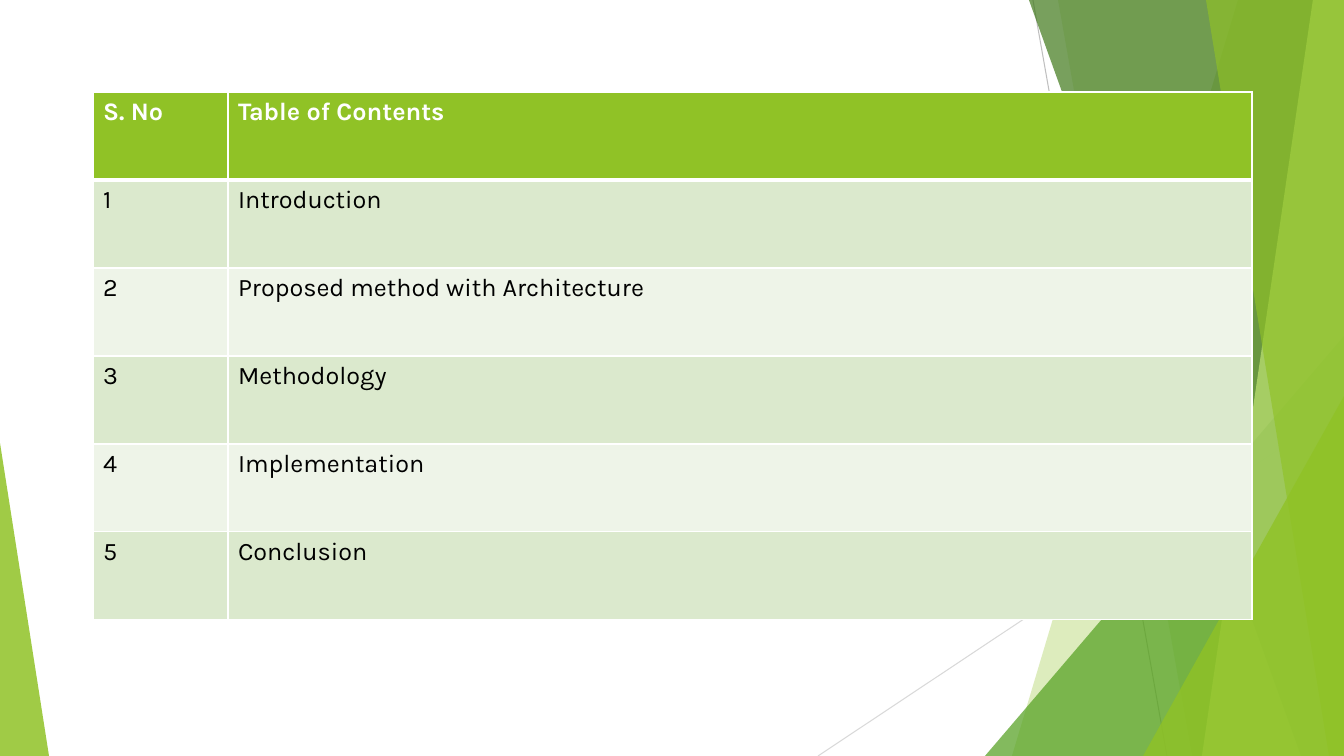
"""Build the table of contents slide with its layered green side bands."""
from dataclasses import dataclass

from lxml.etree import SubElement as Sub
from pptx import Presentation
from pptx.dml.color import RGBColor as RGB
from pptx.enum.shapes import MSO_CONNECTOR as CONN, MSO_SHAPE as SHAPE
from pptx.oxml import parse_xml
from pptx.oxml.ns import nsdecls, qn
from pptx.util import Pt

PX = 914400 / 100.8
WIDTH, HEIGHT = 1344, 756


@dataclass(frozen=True)
class Theme:
    font: str = "Karla"
    size: int = 18
    green: str = "90C226"
    leaf: str = "54A021"
    forest: str = "3F7819"
    lime: str = "C0E474"
    white: str = "FFFFFF"
    black: str = "000000"
    stripes: tuple = ("DBE9CD", "EEF4E8")
    line: float = 0.75
    border: int = 1
    header_border: int = 3


T = Theme()

HEADER = ("S. No", "Table of Contents")
TOPICS = ["Introduction", "Proposed method with Architecture", "Methodology",
          "Implementation", "Conclusion"]
TABLE_LEFT, TABLE_TOP, ROW_HEIGHT = 93, 92, 88
COLUMNS = (135, 1024)

RULES = [((1033, 0), (1167, HEIGHT), "BFBFBF"),
         ((WIDTH, 406), (818, HEIGHT), "D9D9D9")]
DECOR = [
    ("band", (1238, 1012), T.green, 30),
    ("band", (1058, 1192), T.green, 20),
    ("triangle", (985, 336, WIDTH, 1), T.leaf, 72),
    ("band", (1029, 1301), T.forest, 70),
    ("band", (1313, 1202), T.lime, 70),
    ("band", (1206, 1329), T.green, 65),
    ("triangle", (1143, 396, WIDTH, 1), T.green, 80),
    ("triangle", (0, 443, 49, 0), T.green, 85),
]


def px(n):
    return round(n * PX)


def add_rule(start, end, color):
    line = s.shapes.add_connector(CONN.STRAIGHT, *map(px, start + end))
    line.line.color.rgb = RGB.from_string(color)
    line.line.width = Pt(T.line)
    Sub(line._element.spPr, qn("a:effectLst"))


def add_band(top_x, bottom_x):
    builder = s.shapes.build_freeform(top_x, 0, scale=PX)
    builder.add_line_segments([(WIDTH, 0), (WIDTH, HEIGHT), (bottom_x, HEIGHT)])
    return builder.convert_to_shape()


def add_triangle(left, top, right, apex):
    sp = s.shapes.add_shape(SHAPE.ISOSCELES_TRIANGLE, px(left), px(top),
                            px(right - left), px(HEIGHT - top))
    sp.adjustments[0] = apex
    return sp


def paint(sp, color, alpha):
    sp.shadow.inherit = False
    sp.line.fill.background()
    sp.fill.solid()
    sp.fill.fore_color.rgb = RGB.from_string(color)
    clr = sp._element.spPr.find(qn("a:solidFill"))[0]
    Sub(clr, qn("a:alpha"), val=str(alpha * 1000))


def style_cell(cell, row):
    header = row == 0
    fill = T.green if header else T.stripes[(row - 1) % 2]
    cell.fill.solid()
    cell.fill.fore_color.rgb = RGB.from_string(fill)
    font = cell.text_frame.paragraphs[0].runs[0].font
    font.name, font.size, font.bold = T.font, Pt(T.size), header
    font.color.rgb = RGB.from_string(T.white if header else T.black)
    thick = {"T": row == 1, "B": header}
    for i, side in enumerate("LRTB"):
        width = Pt(T.header_border if thick.get(side) else T.border)
        cell._tc.get_or_add_tcPr().insert(i, parse_xml(
            f'<a:ln{side} {nsdecls("a")} w="{width}"><a:solidFill>'
            f'<a:srgbClr val="{T.white}"/></a:solidFill></a:ln{side}>'))


prs = Presentation()
prs.slide_width, prs.slide_height = px(WIDTH), px(HEIGHT)
s = prs.slides.add_slide(prs.slide_layouts[6])

for rule in RULES:
    add_rule(*rule)

makers = {"band": add_band, "triangle": add_triangle}
for kind, geometry, color, alpha in DECOR:
    paint(makers[kind](*geometry), color, alpha)

rows = [HEADER] + [(str(n), topic) for n, topic in enumerate(TOPICS, 1)]
table = s.shapes.add_table(len(rows), len(COLUMNS), px(TABLE_LEFT), px(TABLE_TOP),
                           px(sum(COLUMNS)), px(ROW_HEIGHT * len(rows))).table
for column, width in zip(table.columns, COLUMNS):
    column.width = px(width)
for r, texts in enumerate(rows):
    table.rows[r].height = px(ROW_HEIGHT)
    for c, text in enumerate(texts):
        cell = table.cell(r, c)
        cell.text_frame.text = text
        style_cell(cell, r)

prs.save("out.pptx")
